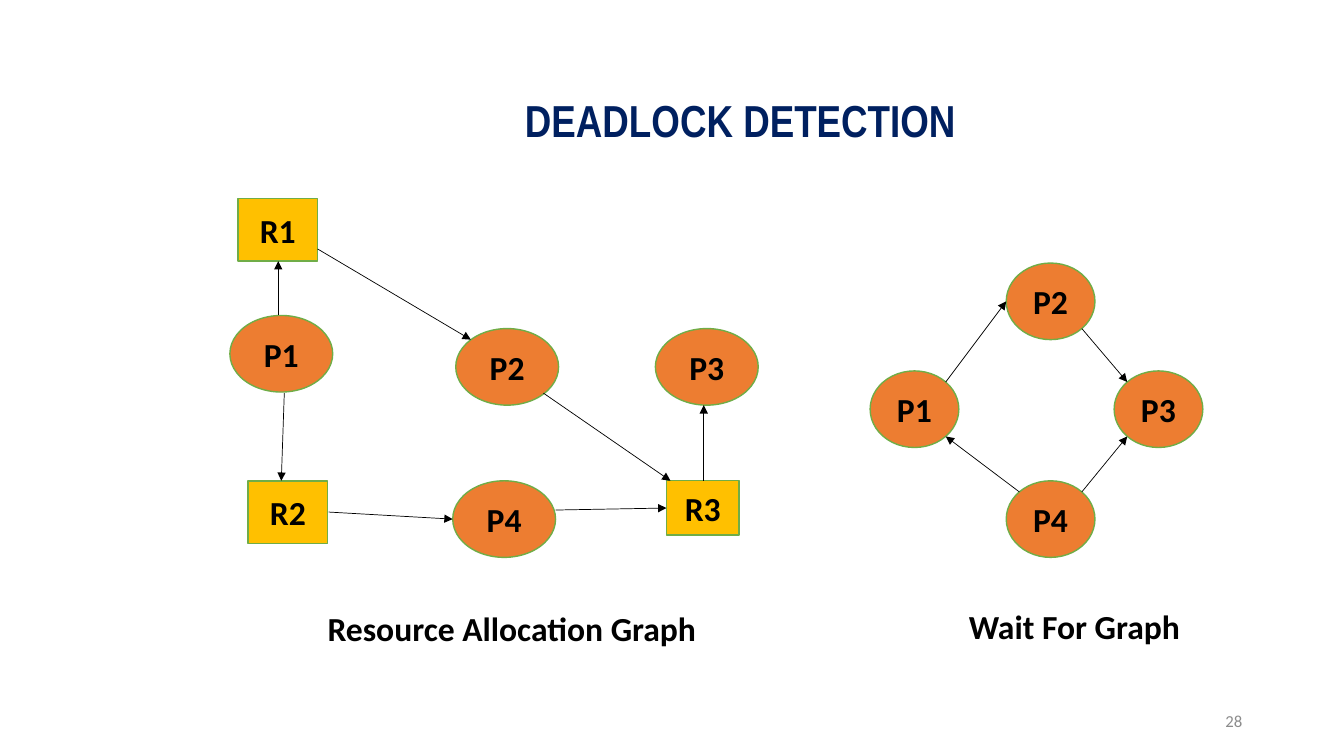
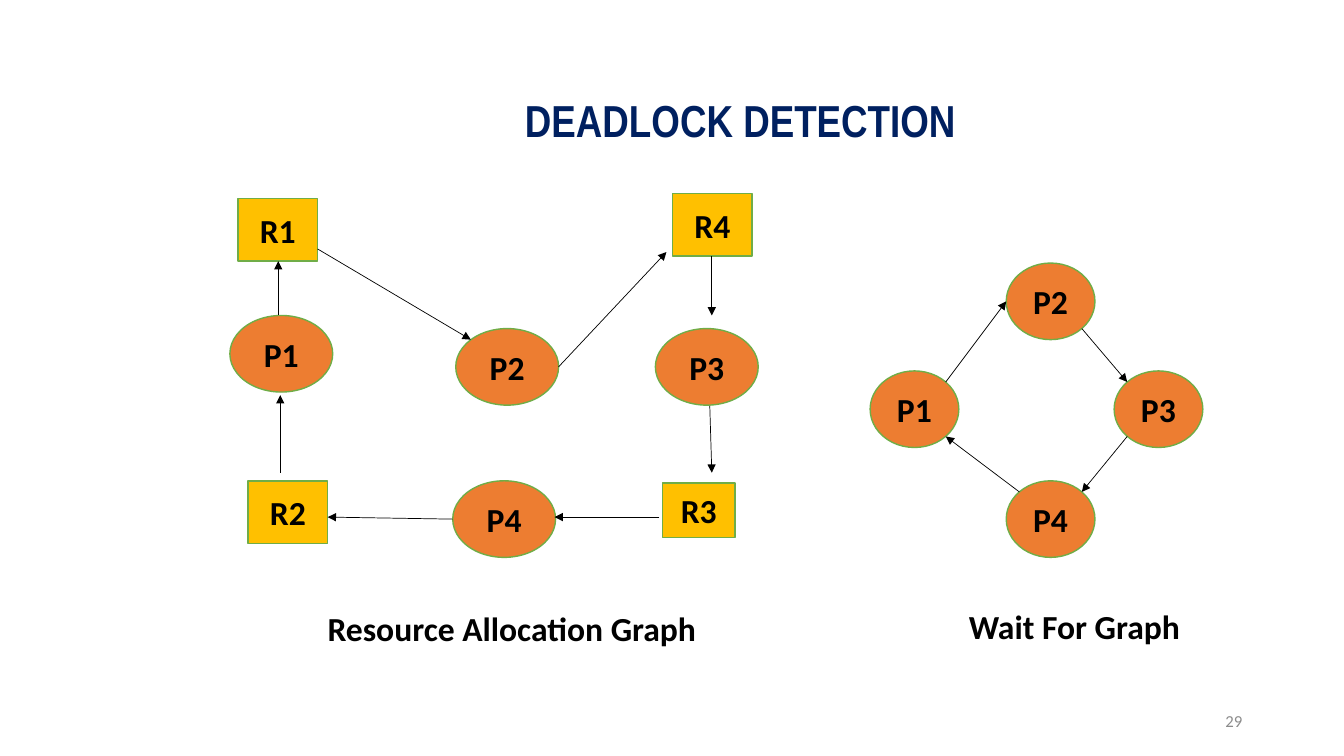
from lxml import etree
from pptx import Presentation
from pptx.dml.color import RGBColor
from pptx.enum.shapes import MSO_CONNECTOR, MSO_SHAPE
from pptx.enum.text import MSO_ANCHOR, PP_ALIGN
from pptx.oxml.ns import qn
from pptx.util import Inches, Pt

COLORS = {
    "title": "002060",
    "text": "000000",
    "number": "8C8C8C",
    "resource": "FFC000",
    "process": "ED7D31",
    "outline": "70AD47",
}
BODY_FONT = "Calibri"
TITLE_FONT = "Arial Narrow"
RESOURCE_SIZE = (0.79, 0.62)
SMALL_RESOURCE_SIZE = (0.72, 0.54)
PROCESS_SIZE = (1.02, 0.76)
WAIT_SIZE = (0.88, 0.76)

# Left and top of the nodes that both slides share
RESOURCES = {"R1": (2.36, 1.97), "R2": (2.46, 4.77)}
PROCESSES = {"P1": (2.28, 3.13), "P2": (4.52, 3.26),
             "P3": (6.5, 3.26), "P4": (4.49, 4.77)}
WAITERS = {"P1": (8.63, 3.68), "P3": (11.05, 3.68),
           "P4": (9.98, 4.77), "P2": (9.98, 2.61)}

# Start and end points of the arrows that both slides share
ALLOCATION_EDGES = [
    ((3.15, 2.47), (4.67, 3.37)),
    ((2.76, 3.13), (2.76, 2.59)),
]
WAIT_EDGES = [
    ((10.73, 3.26), (11.18, 3.79)),
    ((10.11, 4.88), (9.38, 4.33)),
    ((9.38, 3.79), (9.98, 2.99)),
]
P3_CORNER, P4_CORNER = (11.18, 4.33), (10.73, 4.88)

SLIDES = [
    {
        "number": "28",
        "resources": {},
        "small_resources": {"R3": (6.61, 4.77)},
        "edges": [
            ((5.39, 3.9), (6.65, 4.77)),
            ((6.98, 4.77), (6.98, 4.02)),
            ((5.51, 5.06), (6.61, 5.04)),
            ((3.26, 5.08), (4.49, 5.15)),
            ((2.82, 3.9), (2.79, 4.77)),
            (P4_CORNER, P3_CORNER),
        ],
    },
    {
        "number": "29",
        "resources": {"R4": (6.67, 1.92)},
        "small_resources": {"R3": (6.57, 4.79)},
        "edges": [
            ((6.54, 5.13), (5.5, 5.13)),
            ((4.49, 5.15), (3.25, 5.13)),
            ((2.78, 4.69), (2.78, 3.92)),
            ((7.06, 2.54), (7.06, 3.13)),
            ((7.04, 4.03), (7.06, 4.69)),
            ((5.54, 3.64), (6.61, 2.5)),
            (P3_CORNER, P4_CORNER),
        ],
    },
]


def rgb(name):
    return RGBColor.from_string(COLORS[name])


class Deck:
    """Holds the presentation, its style and the current slide."""

    def __init__(self):
        self.prs = Presentation()
        self.prs.slide_width = Inches(13.33)
        self.prs.slide_height = Inches(7.5)
        self.s = None

    def new_slide(self, number):
        self.s = self.prs.slides.add_slide(self.prs.slide_layouts[6])
        self.text(number, (9.42, 6.95, 3, 0.4), size=12, color="number",
                  bold=False, align=PP_ALIGN.RIGHT, anchor=MSO_ANCHOR.MIDDLE)
        self.text("DEADLOCK DETECTION", (4.32, 0.93, 6.05, 0.65), size=32,
                  font=TITLE_FONT, color="title", align=PP_ALIGN.CENTER,
                  anchor=MSO_ANCHOR.BOTTOM, inset=0.13)

    def add_run(self, tf, text, size=24, font=BODY_FONT, color="text",
                bold=True, align=PP_ALIGN.LEFT, anchor=MSO_ANCHOR.TOP):
        tf.vertical_anchor = anchor
        p = tf.paragraphs[0]
        p.alignment = align
        r = p.add_run()
        r.text = text
        r.font.size = Pt(size)
        r.font.name = font
        r.font.bold = bold
        r.font.color.rgb = rgb(color)

    def text(self, text, box, wrap=True, inset=None, **style):
        tf = self.s.shapes.add_textbox(*map(Inches, box)).text_frame
        tf.word_wrap = wrap
        if inset is not None:
            tf.margin_left = tf.margin_right = Inches(inset)
            tf.margin_top = tf.margin_bottom = Inches(inset)
        self.add_run(tf, text, **style)

    def caption(self, text, *box):
        self.text(text, box, wrap=False)

    def nodes(self, places, size, kind):
        """Draws resources as rectangles and processes as ellipses."""
        preset = MSO_SHAPE.RECTANGLE if kind == "resource" else MSO_SHAPE.OVAL
        for name, place in places.items():
            sp = self.s.shapes.add_shape(preset, *map(Inches, place + size))
            sp.shadow.inherit = False
            sp.fill.solid()
            sp.fill.fore_color.rgb = rgb(kind)
            sp.line.color.rgb = rgb("outline")
            sp.line.width = Pt(1)
            self.add_run(sp.text_frame, name, align=PP_ALIGN.CENTER,
                         anchor=MSO_ANCHOR.MIDDLE)

    def arrow(self, start, end):
        cn = self.s.shapes.add_connector(MSO_CONNECTOR.STRAIGHT,
                                         *map(Inches, start + end))
        cn.line.color.rgb = rgb("text")
        cn.line.width = Pt(0.5)
        sp_pr = cn.element.spPr
        etree.SubElement(sp_pr.find(qn("a:ln")), qn("a:tailEnd"),
                         type="triangle")
        etree.SubElement(sp_pr, qn("a:effectLst"))


def main():
    deck = Deck()
    for content in SLIDES:
        deck.new_slide(content["number"])
        deck.nodes(RESOURCES | content["resources"], RESOURCE_SIZE, "resource")
        deck.nodes(content["small_resources"], SMALL_RESOURCE_SIZE, "resource")
        deck.nodes(PROCESSES, PROCESS_SIZE, "process")
        deck.nodes(WAITERS, WAIT_SIZE, "process")
        for start, end in ALLOCATION_EDGES + WAIT_EDGES + content["edges"]:
            deck.arrow(start, end)
        deck.caption("Resource Allocation Graph", 3.15, 5.98, 3.89, 0.5)
        deck.caption("Wait For Graph", 9.51, 5.96, 2.32, 0.5)
    deck.prs.save("out.pptx")


if __name__ == "__main__":
    main()
